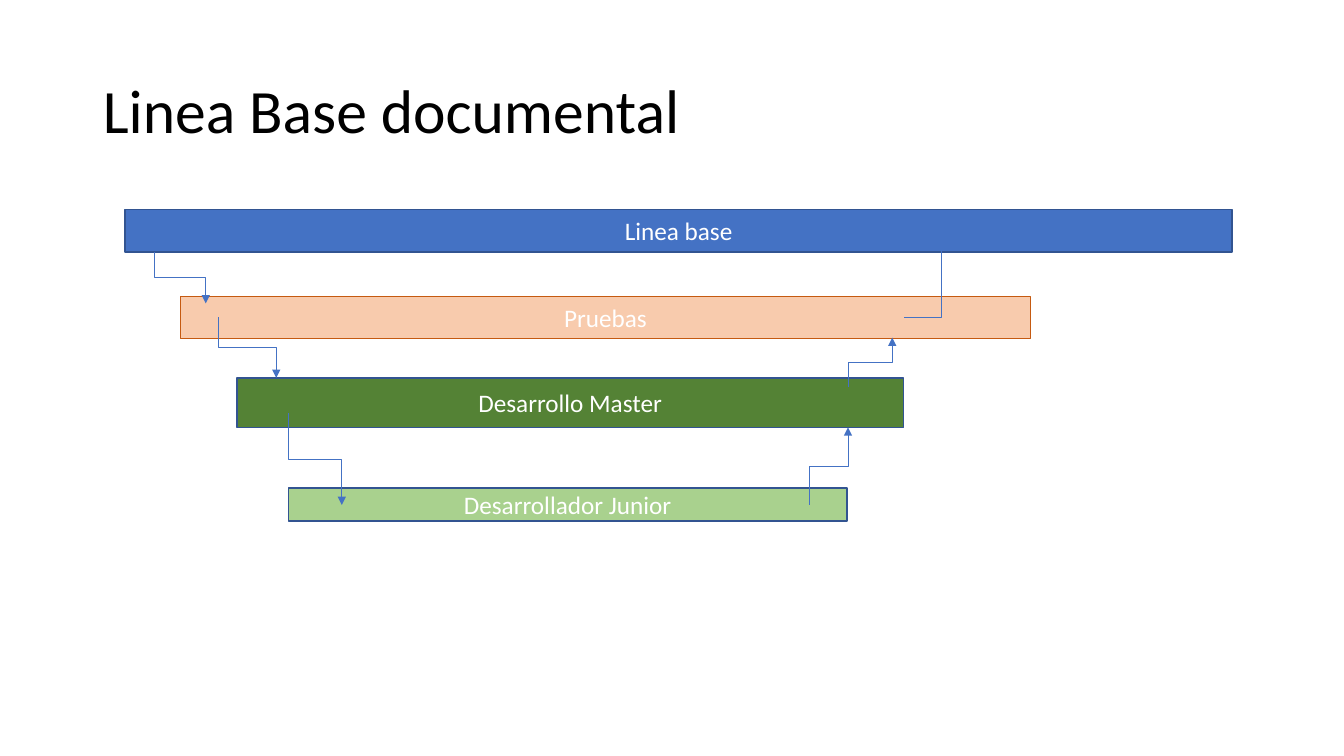
import pptx
import pptx.util
import pptx.dml.color
import pptx.enum.shapes
import pptx.enum.text
import pptx.oxml
import pptx.oxml.ns

Inches = pptx.util.Inches
ALIGN = pptx.enum.text.PP_ALIGN
HUES = {
    "black": "000000", "white": "FFFFFF", "blue": "4472C4", "navy": "325491",
    "peach": "F8CBAD", "rust": "C55A11", "green": "548235", "lime": "A9D18E",
}


def hue(name):
    return pptx.dml.color.RGBColor.from_string(HUES[name])


class Deck:
    """Style and current slide."""
    face = "Calibri"
    frame = {"word_wrap": True,
             "vertical_anchor": pptx.enum.text.MSO_ANCHOR.MIDDLE}

    def __init__(self, wide, high):
        self.show = pptx.Presentation()
        self.show.slide_width = Inches(wide)
        self.show.slide_height = Inches(high)
        self.slide = self.show.slides.add_slide(self.show.slide_layouts[5])

    def apply(self, item, style):
        for name, value in style.items():
            setattr(item, name, value)

    def label(self, shape, text, size, color, para):
        self.apply(shape.text_frame, self.frame)
        line = shape.text_frame.paragraphs[0]
        self.apply(line, para)
        run = line.add_run()
        run.text = text
        self.apply(run.font, {"name": self.face, "size": pptx.util.Pt(size)})
        run.font.color.rgb = hue(color)

    def title(self, text, left, top, wide, high):
        shape = self.slide.shapes.title
        self.apply(shape, {"left": Inches(left), "top": Inches(top),
                           "width": Inches(wide), "height": Inches(high)})
        self.label(shape, text, 44, "black",
                   {"alignment": ALIGN.LEFT, "line_spacing": 0.9})

    def bar(self, text, box, fill, edge):
        shape = self.slide.shapes.add_shape(
            pptx.enum.shapes.MSO_SHAPE.RECTANGLE, *map(Inches, box))
        shape.shadow.inherit = False
        shape.fill.solid()
        shape.fill.fore_color.rgb = hue(fill)
        shape.line.color.rgb = hue(edge)
        shape.line.width = pptx.util.Pt(1)
        self.label(shape, text, 18, "white", {"alignment": ALIGN.CENTER})

    def arrow(self, start, end):
        """Elbow arrow that leaves sideways."""
        link = self.slide.shapes.add_connector(
            pptx.enum.shapes.MSO_CONNECTOR.ELBOW,
            *map(Inches, (*start, *end)))
        link.line.color.rgb = hue("blue")
        link.line.width = pptx.util.Pt(0.5)
        props = link._element.spPr
        tip = pptx.oxml.parse_xml(
            '<a:tailEnd %s type="triangle"/>' % pptx.oxml.ns.nsdecls("a"))
        props.find(pptx.oxml.ns.qn("a:ln")).append(tip)
        props.append(pptx.oxml.parse_xml(
            "<a:effectLst %s/>" % pptx.oxml.ns.nsdecls("a")))
        return link

    def step(self, start, end):
        """Elbow arrow that leaves up or down: a sideways one, turned."""
        (x1, y1), (x2, y2) = start, end
        mid_x, mid_y = (x1 + x2) / 2, (y1 + y2) / 2
        half_w, half_h = abs(y2 - y1) / 2, (x2 - x1) / 2
        down = y2 > y1
        if down:
            half_h = -half_h
        link = self.arrow((mid_x + half_w, mid_y + half_h),
                          (mid_x - half_w, mid_y - half_h))
        link._element.spPr.xfrm.set("rot", str((270 if down else 90) * 60000))


def main():
    deck = Deck(13.33, 7.5)
    deck.title("Linea Base documental", 0.92, 0.4, 11.5, 1.45)

    # Levels, from the base line down
    for level in (
        ("Linea base", (1.24, 2.08, 10.98, 0.42), "blue", "navy"),
        ("Pruebas", (1.79, 2.94, 8.43, 0.42), "peach", "rust"),
        ("Desarrollo Master", (2.35, 3.75, 6.61, 0.49), "green", "navy"),
        ("Desarrollador Junior", (2.86, 4.84, 5.54, 0.33), "lime", "navy"),
    ):
        deck.bar(*level)

    # Steps down on the left, then up on the right
    for start, end in (
        ((1.53, 2.5), (2.04, 3.01)),
        ((2.17, 3.15), (2.74, 3.75)),
        ((2.86, 4.1), (3.39, 5.01)),
        ((8.03, 5.01), (8.41, 4.24)),
        ((8.41, 3.84), (8.85, 3.35)),
    ):
        deck.step(start, end)

    # Return to the base line
    deck.arrow((8.97, 3.15), (9.71, 2.42))

    deck.show.save("out.pptx")


if __name__ == "__main__":
    main()
